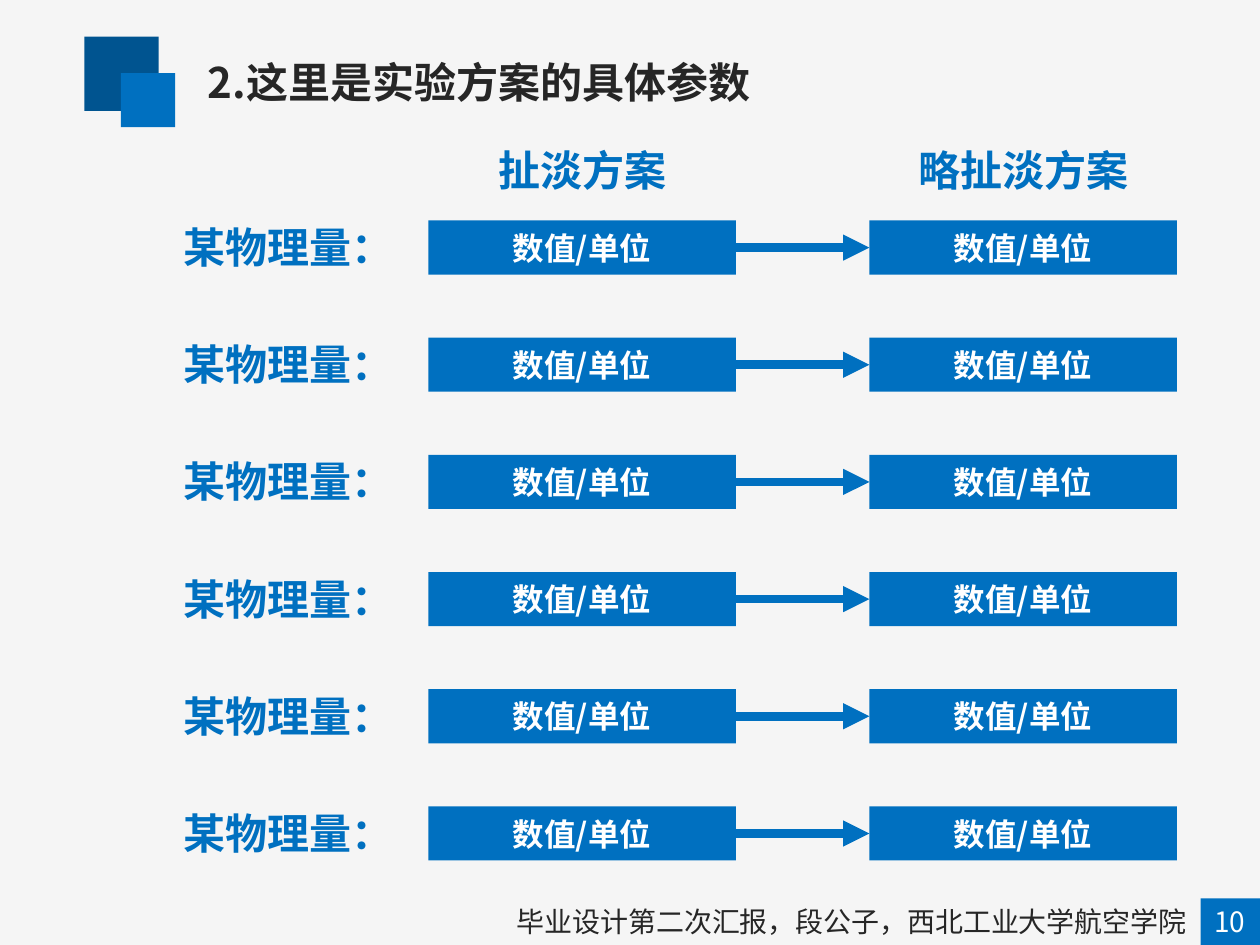
from lxml import etree
from pptx import Presentation
from pptx.dml.color import RGBColor
from pptx.enum.shapes import MSO_CONNECTOR, MSO_SHAPE
from pptx.enum.text import MSO_ANCHOR, MSO_AUTO_SIZE, PP_ALIGN
from pptx.oxml.ns import qn
from pptx.util import Inches, Pt

COLORS = {"bg": "F5F5F5", "navy": "005490", "blue": "0070C0",
          "dark": "262626", "white": "FFFFFF"}
FONT = "Noto Sans CJK SC"
LEFT, CENTER, RIGHT = PP_ALIGN.LEFT, PP_ALIGN.CENTER, PP_ALIGN.RIGHT

prs = Presentation()
prs.slide_width, prs.slide_height = Inches(10), Inches(7.5)
s = prs.slides.add_slide(prs.slide_layouts[6])
s.background.fill.solid()
s.background.fill.fore_color.rgb = RGBColor.from_string(COLORS["bg"])


def add_rect(x, y, w, h, color):
    sp = s.shapes.add_shape(MSO_SHAPE.RECTANGLE, Inches(x), Inches(y), Inches(w), Inches(h))
    sp.shadow.inherit = False
    sp.fill.solid()
    sp.fill.fore_color.rgb = RGBColor.from_string(COLORS[color])
    sp.line.fill.background()
    return sp


def add_text(text, size, color, align, bold=True, box=None, sp=None):
    """Write one line into the shape sp, or into a new text box at box."""
    if sp is None:
        sp = s.shapes.add_textbox(*[Inches(v) for v in box])
        sp.text_frame.auto_size = MSO_AUTO_SIZE.SHAPE_TO_FIT_TEXT
    else:
        sp.text_frame.vertical_anchor = MSO_ANCHOR.MIDDLE
    tf = sp.text_frame
    tf.word_wrap = True
    p = tf.paragraphs[0]
    p.alignment = align
    r = p.add_run()
    r.text = text
    r.font.size, r.font.bold, r.font.name = Pt(size), bold, FONT
    r.font.color.rgb = RGBColor.from_string(COLORS[color])
    etree.SubElement(r.font._element, qn("a:ea"), typeface=FONT)


# Title with its two squares
add_rect(0.67, 0.29, 0.59, 0.59, "navy")
add_rect(0.96, 0.58, 0.43, 0.43, "blue")
add_text("2.这里是实验方案的具体参数", 24, "dark", LEFT, box=(1.55, 0.4, 7.78, 0.5))

# Column headings, centred over the value boxes
BOX_W, BOX_H, HEAD_W = 2.44, 0.43, 2.56
columns = [(3.4, "扯淡方案"), (6.9, "略扯淡方案")]
for x, heading in columns:
    add_text(heading, 24, "blue", CENTER, box=(x - (HEAD_W - BOX_W) / 2, 1.1, HEAD_W, 0.5))

# Parameter rows: label, first value, arrow, second value
for row in range(6):
    y = 1.75 + row * 0.93
    add_text("某物理量：", 24, "blue", RIGHT, box=(0.66, y - 0.04, HEAD_W, 0.5))
    values = [add_rect(x, y, BOX_W, BOX_H, "blue") for x, _ in columns]
    for sp in values:
        add_text("数值/单位", 18, "white", CENTER, sp=sp)
    arrow = s.shapes.add_connector(MSO_CONNECTOR.STRAIGHT, 0, 0, 0, 0)
    arrow.begin_connect(values[0], 3)
    arrow.end_connect(values[1], 1)
    arrow.line.width = Pt(5)
    arrow.line.color.rgb = RGBColor.from_string(COLORS["blue"])
    etree.SubElement(arrow.line._get_or_add_ln(), qn("a:tailEnd"), type="triangle")
    etree.SubElement(arrow._element.spPr, qn("a:effectLst"))

# Footer
add_rect(9.53, 7.13, 0.47, 0.37, "blue")
add_text("10", 16, "white", CENTER, bold=False, box=(9.41, 7.13, 0.7, 0.37))
add_text("毕业设计第二次汇报，段公子，西北工业大学航空学院", 16, "dark", RIGHT,
         bold=False, box=(1.33, 7.13, 8.19, 0.37))

prs.save("out.pptx")
